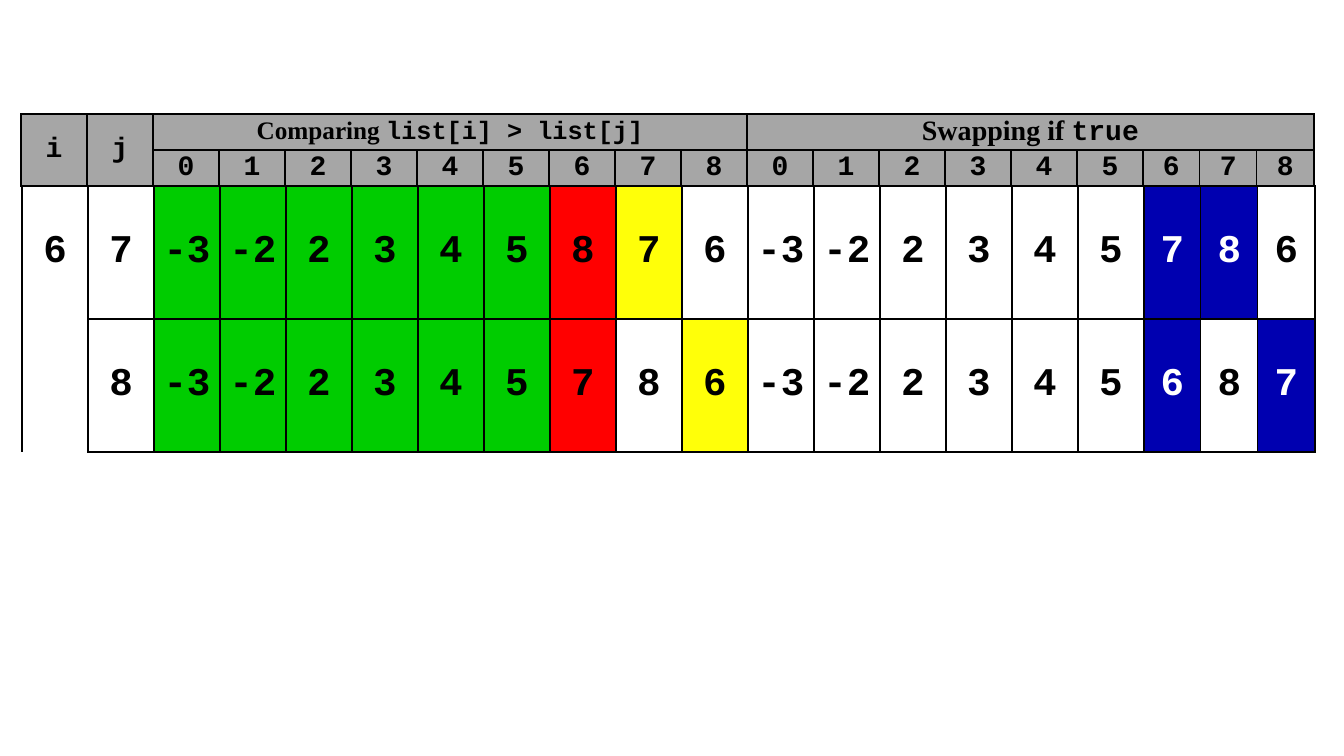
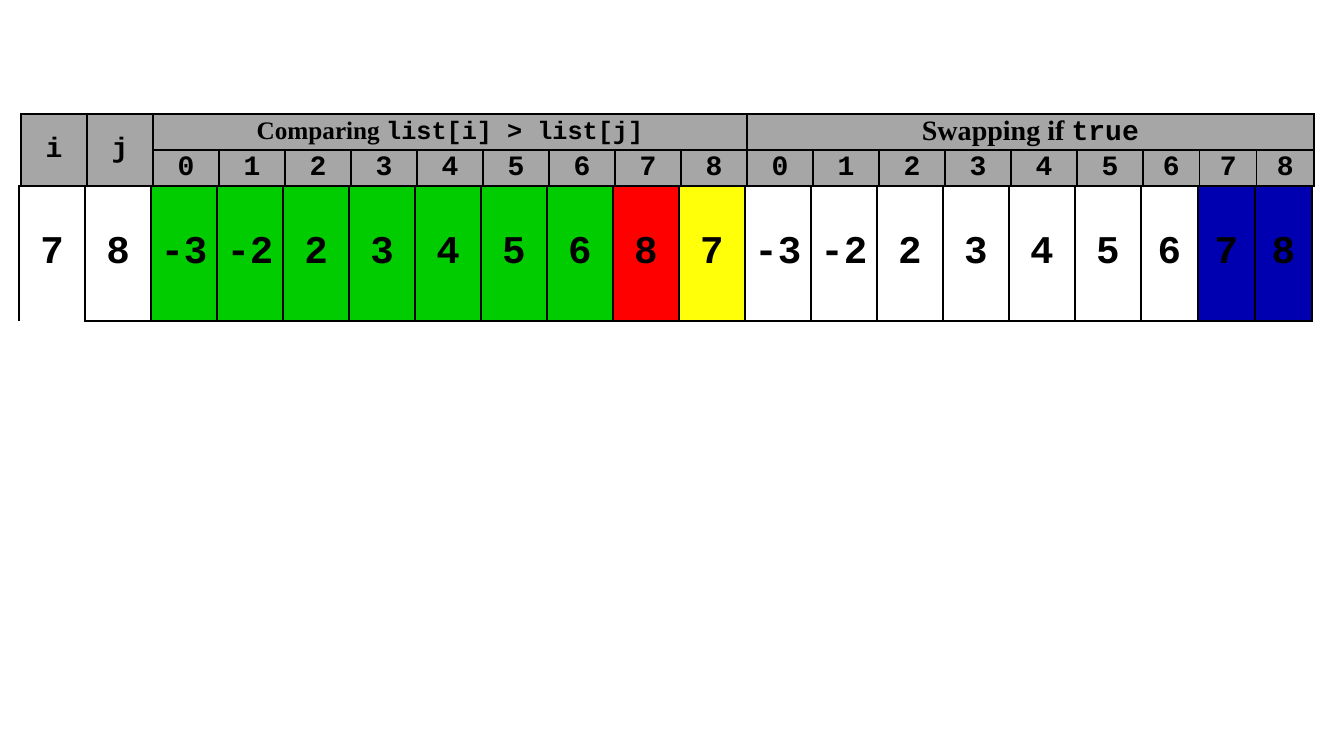
"""Two slides tracing the last steps of an exchange sort."""
import dataclasses

import lxml.etree
import pptx
import pptx.dml.color
import pptx.enum.text
import pptx.oxml.ns
import pptx.util

EMU_PER_PX = 914400 / 100.8
NO_STYLE = "{2D5ABB26-0587-4C30-8999-92F81FD0307C}"
COLUMN_WIDTHS = [66] * 17 + [57] * 3
GROUP_EDGES = (0, 1, 2, 11, 20)
HEADER_LEFT, HEADER_TOP, HEADER_ROW = 21, 114, 36
BODY_TOP = 186


@dataclasses.dataclass(frozen=True)
class Theme:
    """Colours, fonts, type sizes and line widths of both slides."""
    ink: str = "000000"
    light: str = "FFFFFF"
    header: str = "A6A6A6"
    sorted_part: str = "00CC00"
    current: str = "FF0000"
    compared: str = "FFFF09"
    swapped: str = "0000B0"
    code: str = "Courier New"
    prose: str = "Times New Roman"
    heading: int = 20
    small_heading: int = 18
    number: int = 28
    heavy: float = 1.5
    thin: float = 1


THEME = Theme()
MARKS = {".": None, "S": THEME.sorted_part, "C": THEME.current,
         "Y": THEME.compared, "B": THEME.swapped}


def px(length):
    """Turn pixels into EMU."""
    return pptx.util.Emu(round(length * EMU_PER_PX))


def assign(target, values):
    """Set every attribute named in values on target."""
    for name, value in values.items():
        setattr(target, name, value)


def add_grid(slide, left, top, row_heights):
    """Add an unstyled table with the shared columns."""
    frame = slide.shapes.add_table(len(row_heights), len(COLUMN_WIDTHS), px(left), px(top),
                                   px(sum(COLUMN_WIDTHS)), px(sum(row_heights)))
    grid = frame.table
    assign(grid, {"first_row": False, "horz_banding": False})
    grid._tbl.tblPr.find(pptx.oxml.ns.qn("a:tableStyleId")).text = NO_STYLE
    for column, width in zip(grid.columns, COLUMN_WIDTHS):
        column.width = px(width)
    for row, height in zip(grid.rows, row_heights):
        row.height = px(height)
    return grid


def draw_borders(cell, widths):
    """Draw the sides of a cell given as widths in points, None for no line."""
    properties = cell._tc.get_or_add_tcPr()
    for side in "LRTB":
        if widths.get(side) is None:
            continue
        line = lxml.etree.SubElement(properties, pptx.oxml.ns.qn(f"a:ln{side}"),
                                     w=str(pptx.util.Pt(widths[side])))
        paint = lxml.etree.SubElement(line, pptx.oxml.ns.qn("a:solidFill"))
        lxml.etree.SubElement(paint, pptx.oxml.ns.qn("a:srgbClr"), val=THEME.ink)


def fill_cell(cell, color):
    """Fill a cell, or leave it clear when color is None."""
    if color is None:
        cell.fill.background()
    else:
        cell.fill.solid()
        cell.fill.fore_color.rgb = pptx.dml.color.RGBColor.from_string(color)


def write_cell(cell, pieces, size, color=THEME.ink):
    """Write centred bold text from pairs of wording and font."""
    assign(cell, {"margin_left": px(7), "margin_right": px(7), "margin_top": 0,
                  "margin_bottom": 0,
                  "vertical_anchor": pptx.enum.text.MSO_ANCHOR.MIDDLE})
    paragraph = cell.text_frame.paragraphs[0]
    paragraph.alignment = pptx.enum.text.PP_ALIGN.CENTER
    for wording, font in pieces:
        run = paragraph.add_run()
        run.text = wording
        assign(run.font, {"name": font, "size": pptx.util.Pt(size), "bold": True})
        run.font.color.rgb = pptx.dml.color.RGBColor.from_string(color)


def column_sides(column):
    """Give the left and right line widths of a column."""
    left, right = (THEME.heavy if edge in GROUP_EDGES else THEME.thin
                   for edge in (column, column + 1))
    return {"L": left, "R": right}


def add_merged_heading(grid, first, last, pieces, size):
    """Merge a block of header cells, outline it and write its heading."""
    (top, left), (bottom, right) = first, last
    origin = grid.cell(top, left)
    origin.merge(grid.cell(bottom, right))
    for row in range(top, bottom + 1):
        for column in range(left, right + 1):
            cell = grid.cell(row, column)
            on_edge = {"L": column == left, "R": column == right,
                       "T": row == top, "B": row == bottom}
            draw_borders(cell, {side: THEME.heavy for side, shown in on_edge.items()
                                if shown or (row, column) == first})
            fill_cell(cell, THEME.header)
    write_cell(origin, pieces, size)


def add_header(slide):
    """Add the header with loop variables and list indexes."""
    grid = add_grid(slide, HEADER_LEFT, HEADER_TOP, [HEADER_ROW] * 2)
    for column, variable in enumerate("ij"):
        add_merged_heading(grid, (0, column), (1, column),
                           [(variable, THEME.code)], THEME.heading)
    add_merged_heading(grid, (0, 2), (0, 10),
                       [("Comparing ", THEME.prose), ("list[i] > list[j]", THEME.code)],
                       THEME.small_heading)
    add_merged_heading(grid, (0, 11), (0, 19),
                       [("Swapping if ", THEME.prose), ("true", THEME.code)],
                       THEME.heading)
    for column in range(2, 20):
        cell = grid.cell(1, column)
        draw_borders(cell, column_sides(column) | {"T": THEME.heavy, "B": THEME.heavy})
        fill_cell(cell, THEME.header)
        write_cell(cell, [(str((column - 2) % 9), THEME.code)], THEME.heading)


def add_steps(slide, left, row_height, steps, swapped_ink):
    """Add one row per step: i, j, the list before and the list after."""
    grid = add_grid(slide, left, BODY_TOP, [row_height] * len(steps))
    for row, (i, j, before, after, marks) in enumerate(steps):
        values = [i, j, *before.split(), *after.split()]
        for column, (value, mark) in enumerate(zip(values, ".." + marks)):
            cell = grid.cell(row, column)
            top = THEME.thin if row else THEME.heavy
            level = {"T": top, "B": THEME.thin}
            if column == 0:
                level = {"T": None if row else top}
            draw_borders(cell, column_sides(column) | level)
            fill_cell(cell, MARKS[mark])
            if value:
                write_cell(cell, [(value, THEME.code)], THEME.number,
                           swapped_ink if mark == "B" else THEME.ink)


def main():
    """Build and save the presentation."""
    deck = pptx.Presentation()
    assign(deck, {"slide_width": px(1344), "slide_height": px(756)})
    passes = [
        (22, 133, THEME.light, [
            ("6", "7", "-3 -2 2 3 4 5 8 7 6", "-3 -2 2 3 4 5 7 8 6", "SSSSSSCY.......BB."),
            ("", "8", "-3 -2 2 3 4 5 7 8 6", "-3 -2 2 3 4 5 6 8 7", "SSSSSSC.Y......B.B"),
        ]),
        (19, 135, THEME.ink, [
            ("7", "8", "-3 -2 2 3 4 5 6 8 7", "-3 -2 2 3 4 5 6 7 8", "SSSSSSSCY.......BB"),
        ]),
    ]
    for left, row_height, swapped_ink, steps in passes:
        slide = deck.slides.add_slide(deck.slide_layouts[6])
        add_header(slide)
        add_steps(slide, left, row_height, steps, swapped_ink)
    deck.save("out.pptx")


if __name__ == "__main__":
    main()
